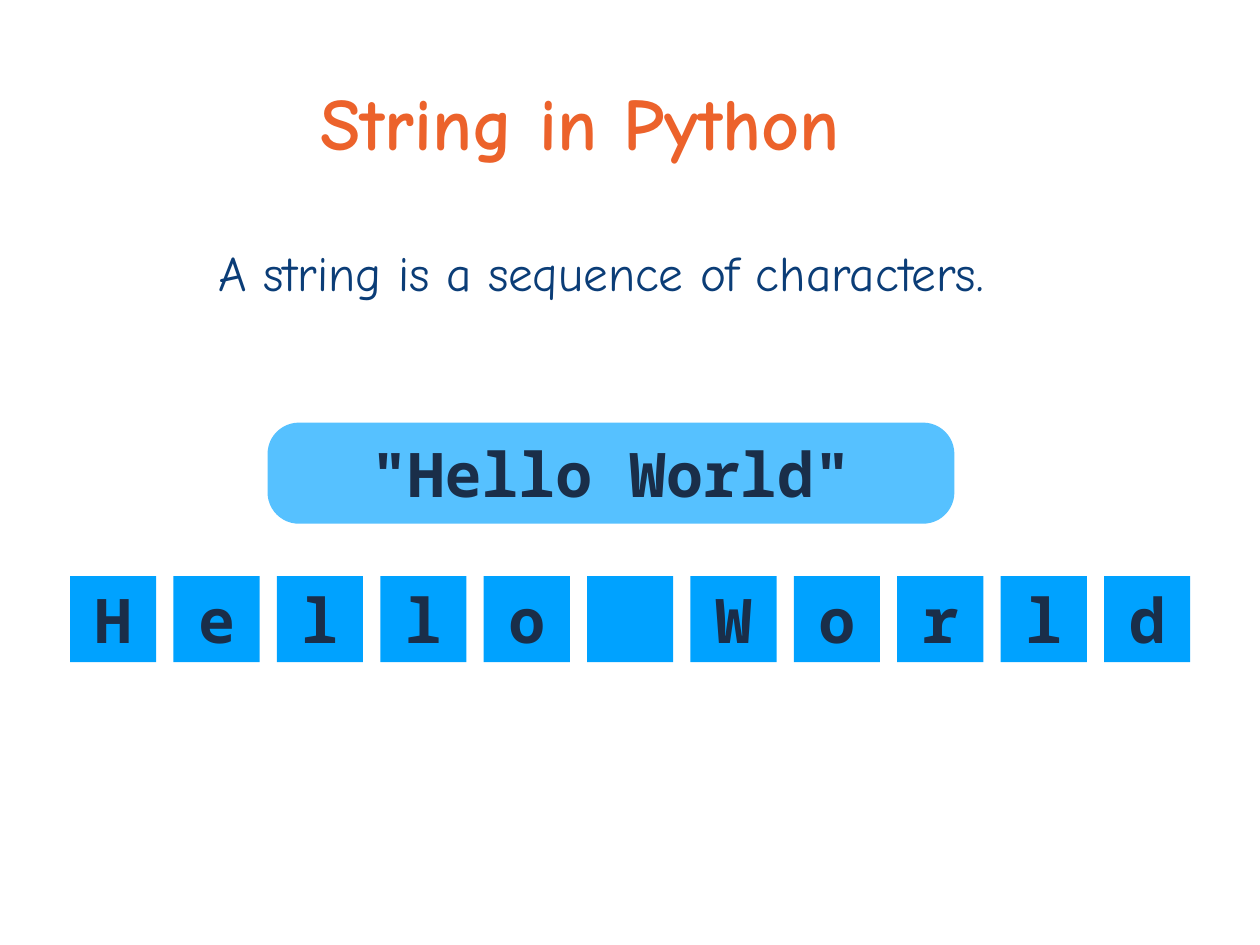
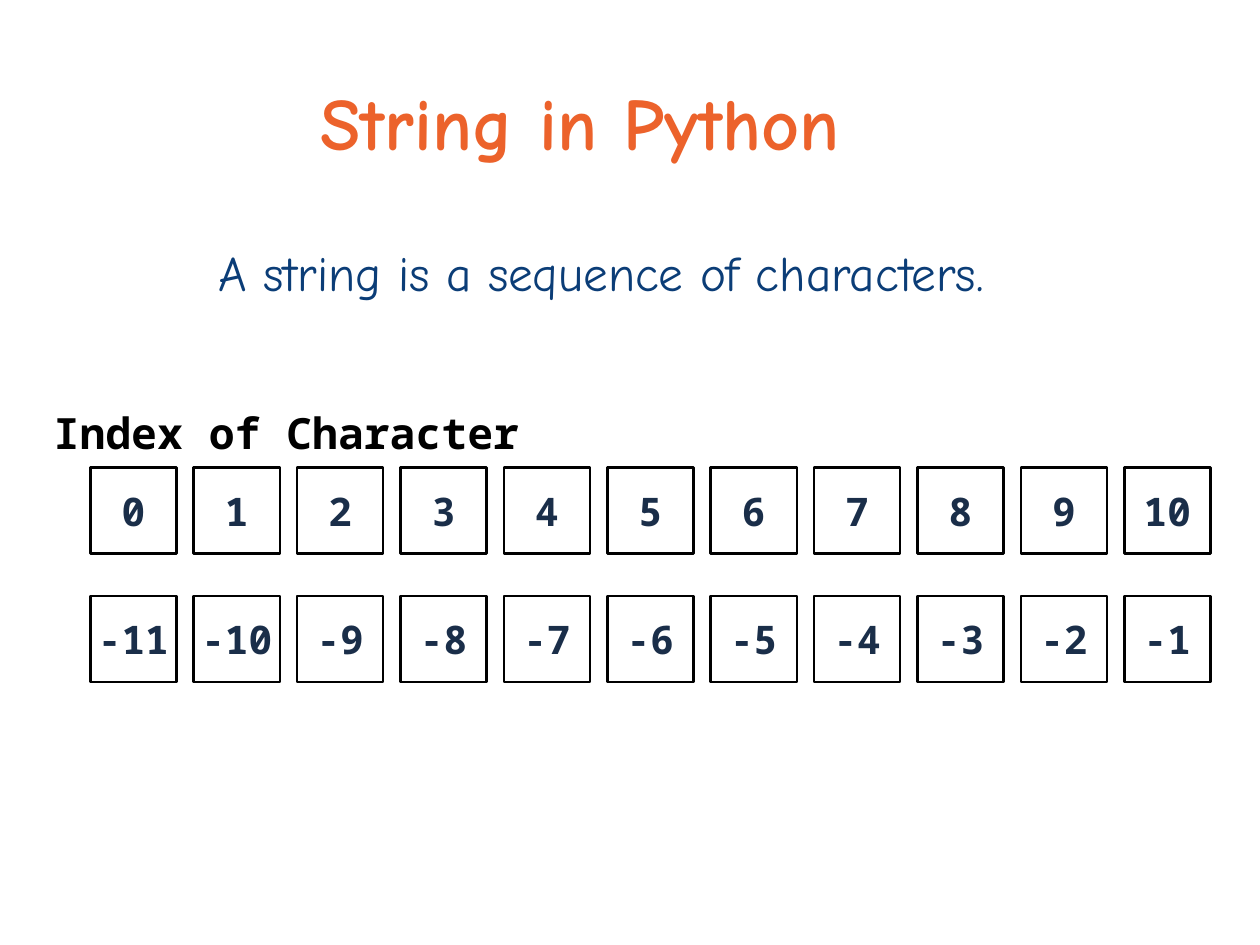
import pptx
import pptx.util
import pptx.dml.color
import pptx.enum.shapes
import pptx.enum.text

Cm = pptx.util.Cm
Pt = pptx.util.Pt
ALIGN = pptx.enum.text.PP_ALIGN
SHAPE = pptx.enum.shapes.MSO_SHAPE

ORANGE, NAVY, INK, BLACK = "EC622B", "0B3D77", "1A2E49", "000000"
LIGHT_BLUE, BLUE = "56C1FF", "00A2FF"
HAND_FONT, CODE_FONT = "Comic Neue", "Noto Sans Mono"
INSET = 0.14
CELL = 2.47
WORD = "Hello World"


def colour(hex_string):
    return pptx.dml.color.RGBColor.from_string(hex_string)


def write(shape, text, size, hex_string, font, bold=True, align=ALIGN.CENTER):
    frame = shape.text_frame
    frame.auto_size = pptx.enum.text.MSO_AUTO_SIZE.NONE
    frame.word_wrap = True
    frame.vertical_anchor = pptx.enum.text.MSO_ANCHOR.MIDDLE
    frame.margin_left = frame.margin_right = Cm(INSET)
    frame.margin_top = frame.margin_bottom = Cm(INSET)
    para = frame.paragraphs[0]
    para.alignment = align
    span = para.add_run()
    span.text = text
    span.font.size = Pt(size)
    span.font.name = font
    span.font.bold = bold
    span.font.color.rgb = colour(hex_string)


def add_label(page, box, text, size, hex_string, font, bold):
    label = page.shapes.add_textbox(*map(Cm, box))
    write(label, text, size, hex_string, font, bold, ALIGN.LEFT)


def add_block(page, kind, box, text, size, fill=None, line=None):
    """Draw a filled or outlined shape with code text; blank text stays unwritten."""
    block = page.shapes.add_shape(kind, *map(Cm, box))
    block.shadow.inherit = False
    if fill:
        block.fill.solid()
        block.fill.fore_color.rgb = colour(fill)
    else:
        block.fill.background()
    if line:
        block.line.color.rgb = colour(line)
        block.line.width = Pt(2)
    else:
        block.line.fill.background()
    if text.strip():
        write(block, text, size, INK, CODE_FONT)
    return block


def add_cell_row(page, box, texts, size, **look):
    """Spread square cells evenly over a box given as left, top, width."""
    left, top, width = box
    pitch = (width - CELL) / (len(texts) - 1)
    for column, text in enumerate(texts):
        cell_box = (left + column * pitch, top, CELL, CELL)
        add_block(page, SHAPE.RECTANGLE, cell_box, text, size, **look)


def add_page(deck):
    """Add a slide with the shared title and definition."""
    page = deck.slides.add_slide(deck.slide_layouts[5])
    title = page.shapes.title
    title.left, title.top, title.width, title.height = map(Cm, (9.04, 1.98, 16.94, 2.97))
    write(title, "String in Python", 60, ORANGE, HAND_FONT, align=ALIGN.LEFT)
    add_label(page, (6.12, 6.76, 23.85, 2.06), "A string is a sequence of characters.",
              40, NAVY, HAND_FONT, False)
    return page


def add_characters(page, left, top, width):
    banner = add_block(page, SHAPE.ROUNDED_RECTANGLE, (left + 5.66, top, 19.69, 2.9),
                       f'"{WORD}"', 50, fill=LIGHT_BLUE)
    banner.adjustments[0] = 0.31
    add_cell_row(page, (left, top + 4.4, width), WORD, 50, fill=BLUE)


def add_indexes(page, left, top, width):
    add_label(page, (left - 1.19, top, 14.5, 1.75), "Index of Character",
              35, BLACK, CODE_FONT, True)
    count = len(WORD)
    for row, first in enumerate((0, -count)):
        numbers = [str(number) for number in range(first, first + count)]
        add_cell_row(page, (left, top + 1.88 + row * 3.68, width), numbers, 32, line=BLACK)


def main():
    deck = pptx.Presentation()
    deck.slide_width, deck.slide_height = Cm(36.12), Cm(27.1)
    add_characters(add_page(deck), 2.01, 12.12, 32.11)
    add_indexes(add_page(deck), 2.59, 11.53, 32.11)
    deck.save("out.pptx")


if __name__ == "__main__":
    main()
